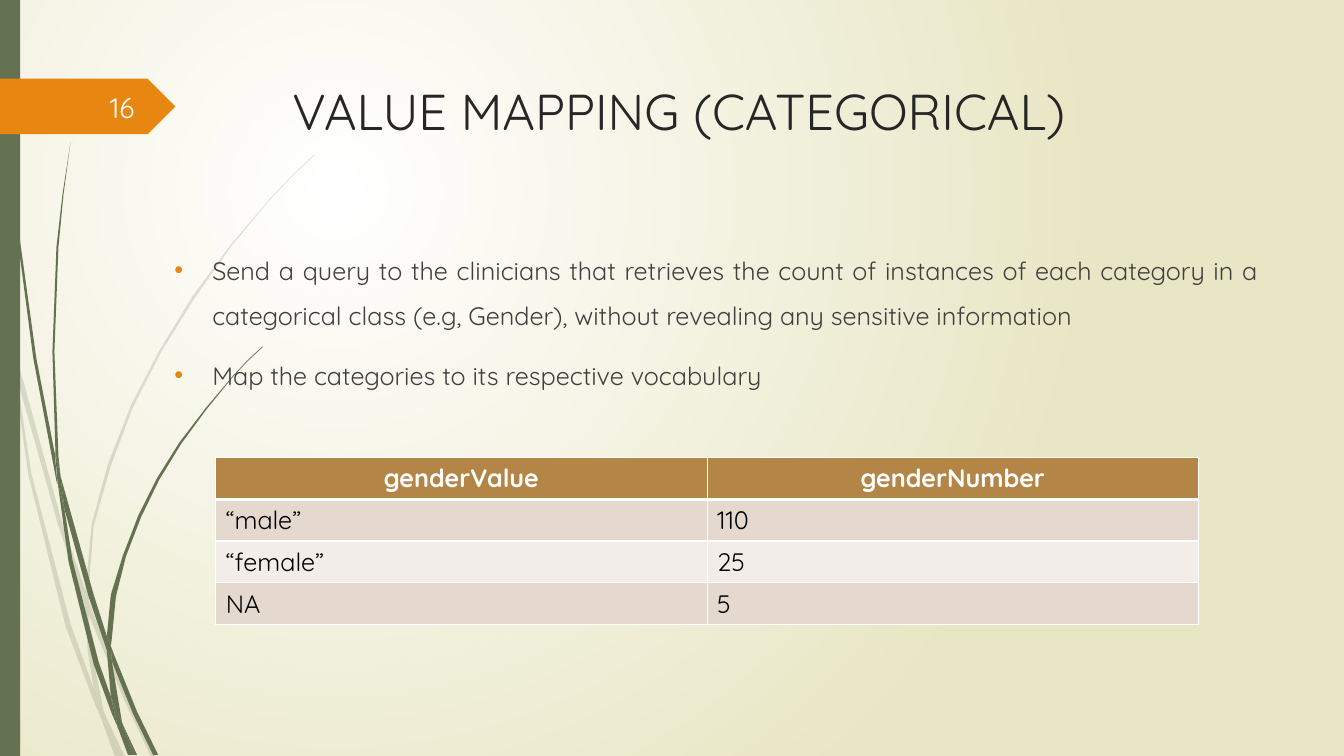
from lxml.etree import SubElement
from pptx import Presentation
from pptx.dml.color import RGBColor
from pptx.enum.shapes import MSO_SHAPE
from pptx.enum.text import MSO_ANCHOR, MSO_AUTO_SIZE, PP_ALIGN
from pptx.oxml.ns import qn
from pptx.util import Pt

FONT = "Quicksand"
GREEN, ORANGE, WHITE = "647252", "E78712", "FFFFFF"
UNIT = Pt(0.72)  # grass outlines are drawn on a grid of 0.72 pt

PALE = [
    "11,350 9,322 0,282 0,299 10,344",
    "58,522 84,599 85,586 62,520 14,345 17,376",
    "92,607 88,596 88,610 123,694 150,751 155,751 127,692",
    "119,751 124,751 105,711",
    "93,683 70,619 31,469 17,376 11,350 28,470 65,621 92,693 101,714 99,707",
    "84,599 87,646 93,683 96,692 105,711 103,706 91,646 88,610 88,608",
    "88,584 93,522 110,462 132,404 160,349 193,296 229,245 268,198 290,175 312,154 "
    "312,153 289,175 268,197 228,244 191,294 158,348 130,402 107,461 91,520 85,584 85,586 88,596",
    "101,714 114,751 119,751",
    "88,608 88,610 88,596 85,586 84,599",
    "96,692 93,683 99,707 101,714 119,751 105,711",
]
DARK = [
    "7,110 17,233 33,355 56,477 57,481 55,457 55,453 36,355 19,232 8,109 5,48 4,0 3,0 4,48",
    "88,592 106,645 106,633 106,631 93,590 60,472 64,505",
    "113,649 110,641 111,656 132,708 152,749 157,749 136,706",
    "110,691 98,657 72,556 64,505 57,477 68,557 93,659 111,708 117,722 116,717",
    "60,472 58,453 54,349 58,245 63,193 70,141 62,193 56,245 52,349 55,449",
    "133,749 136,749 122,719",
    "57,477 64,505 60,472 55,449 55,453",
    "111,633 115,592 125,552 140,513 158,476 180,440 205,406 231,374 245,359 261,344 "
    "260,344 245,358 231,373 204,405 178,439 156,474 137,512 122,551 110,590 106,631 110,641",
    "117,722 127,749 131,749",
    "106,645 110,691 116,706 122,719 121,716 111,656 109,651",
    "106,645 109,651 111,656 110,641 106,631 106,633",
    "116,706 110,691 116,717 117,722 130,749 133,749 122,719",
]
POINTS = [
    "Send a query to the clinicians that retrieves the count of instances of each category "
    "in a categorical class (e.g, Gender), without revealing any sensitive information",
    "Map the categories to its respective vocabulary",
]
COUNTS = [("genderValue", "genderNumber"), ("“male”", "110"), ("“female”", "25"), ("NA", "5")]


def paint(target, tone):
    """Give a fill or line a solid colour from a hex string."""
    if hasattr(target, "solid"):
        target.solid()
        target = target.fore_color
    target.rgb = RGBColor.from_string(tone)


def style(para, size, tone, align, bold=False):
    """Set the font and alignment of a paragraph."""
    para.alignment = align
    font = para.font
    font.name, font.size, font.bold = FONT, Pt(size), bold
    paint(font.color, tone)


def plain(shape, tone):
    """Fill a shape flat, without line or shadow."""
    paint(shape.fill, tone)
    shape.line.fill.background()
    shape.shadow.inherit = False


def place(shape, box):
    """Move a shape to a box in points and bring it to the front."""
    shape.left, shape.top, shape.width, shape.height = map(Pt, box)
    shape.element.getparent().append(shape.element)


def backdrop(slide):
    """Fill the background with a round gradient."""
    fill = slide.background.fill
    fill.gradient()
    for stop, tone in zip(fill.gradient_stops, (WHITE, "E8E6C4")):
        paint(stop.color, tone)
    grad = slide.element.find(".//" + qn("a:gradFill"))
    grad.remove(grad.find(qn("a:lin")))
    ring = SubElement(grad, qn("a:path"), path="circle")
    SubElement(ring, qn("a:fillToRect"), l="50000", t="50000", r="100000", b="100000")


def grass(slide, left, top, blades, alpha=None):
    """Draw grass blades from a corner, see-through when alpha is given."""
    for blade in blades:
        first, *rest = [tuple(map(int, dot.split(","))) for dot in blade.split()]
        build = slide.shapes.build_freeform(*first, scale=UNIT)
        build.add_line_segments(rest, close=True)
        shape = build.convert_to_shape(Pt(left), Pt(top))
        plain(shape, GREEN)
        if alpha:
            tone = shape.element.spPr.find(".//" + qn("a:srgbClr"))
            SubElement(tone, qn("a:alpha"), val=str(alpha * 1000))


def block(slide, kind, box, tone):
    """Add a flat preset shape in a box."""
    shape = slide.shapes.add_shape(kind, *map(Pt, box))
    plain(shape, tone)


def tag(slide, left, top, width, height, number):
    """Draw the arrow tag with the slide number."""
    block(slide, MSO_SHAPE.PENTAGON, (left, top, width, height), ORANGE)
    label = slide.shapes.add_textbox(Pt(left + 41.8), Pt(top + 5.8), Pt(61.2), Pt(28.8))
    frame = label.text_frame
    frame.word_wrap = True
    frame.vertical_anchor = MSO_ANCHOR.MIDDLE
    frame.text = number
    style(frame.paragraphs[0], 20, "FEFFFF", PP_ALIGN.RIGHT)


def heading(slide, box, text):
    """Fill the title placeholder."""
    title = slide.shapes.title
    place(title, box)
    frame = title.text_frame
    frame.text = text
    frame.auto_size = MSO_AUTO_SIZE.NONE
    frame.vertical_anchor = MSO_ANCHOR.TOP
    style(frame.paragraphs[0], 36, "262626", PP_ALIGN.CENTER)


def bullets(slide, box, items):
    """Fill the body placeholder with a bulleted list."""
    body = slide.placeholders[1]
    place(body, box)
    frame = body.text_frame
    frame.text = "\n".join(items)
    frame.auto_size = MSO_AUTO_SIZE.NONE
    for para in frame.paragraphs:
        para.line_spacing, para.space_before = 1.5, Pt(10)
        props = para._p.get_or_add_pPr()
        props.set("marL", str(Pt(27)))
        props.set("indent", str(-Pt(27)))
        SubElement(SubElement(props, qn("a:buClr")), qn("a:srgbClr"), val=ORANGE)
        SubElement(props, qn("a:buFont"), typeface="Arial")
        SubElement(props, qn("a:buChar"), char="•")
        style(para, 18, "404040", PP_ALIGN.JUSTIFY)


def border(cell, row):
    """Edge a cell in white, thick below the header."""
    props = cell._tc.get_or_add_tcPr()
    for side in "LRTB":
        thick = (row, side) in ((0, "B"), (1, "T"))
        line = SubElement(props, qn("a:ln" + side), w=str(Pt(3 if thick else 1)))
        SubElement(SubElement(line, qn("a:solidFill")), qn("a:srgbClr"), val=WHITE)


def table(slide, box, rows):
    """Build the table of counts with a header and banded rows."""
    grid = slide.shapes.add_table(len(rows), len(rows[0]), *map(Pt, box)).table
    for r, row in enumerate(rows):
        for c, text in enumerate(row):
            cell = grid.cell(r, c)
            cell.text = text
            border(cell, r)
            para = cell.text_frame.paragraphs[0]
            if r == 0:
                paint(cell.fill, "B38648")
                style(para, 18, WHITE, PP_ALIGN.CENTER, True)
            else:
                paint(cell.fill, "E5D9CF" if r % 2 else "F2EDE9")
                style(para, 18, "000000", PP_ALIGN.LEFT)


def main():
    """Build the slide and save it."""
    deck = Presentation()
    deck.slide_width, deck.slide_height = Pt(960), Pt(540)
    slide = deck.slides.add_slide(deck.slide_layouts[1])
    backdrop(slide)
    grass(slide, 0, 0, PALE, 20)
    grass(slide, 0, 0, DARK)
    block(slide, MSO_SHAPE.RECTANGLE, (0, 0, 14.4, 540), GREEN)
    tag(slide, 0, 56.2, 125.3, 39.6, "16")
    heading(slide, (133.9, 53.3, 702, 100.8), "VALUE MAPPING (CATEGORICAL)")
    bullets(slide, (117.4, 167.8, 788.4, 297.4), POINTS)
    table(slide, (154.1, 326.9, 702, 118), COUNTS)
    deck.save("out.pptx")


main()
